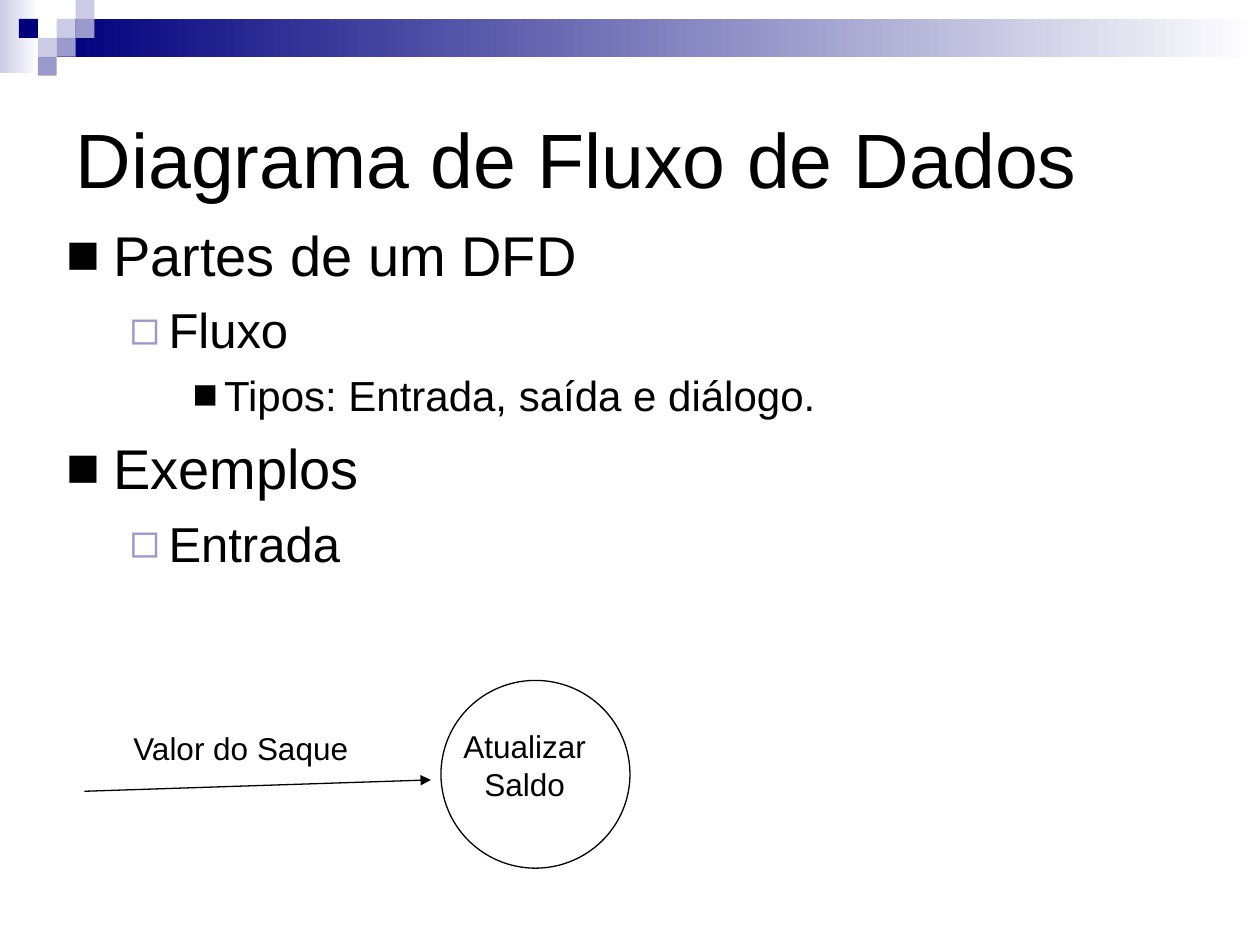
import pptx
import pptx.util
import pptx.dml.color
import pptx.enum.shapes
import pptx.enum.text
import pptx.oxml
from lxml import etree

WIDTH, HEIGHT = 10, 7.5
FONT = "Arial"
BLACK, NAVY, VIOLET, LAVENDER, WHITE = "000000", "00007D", "9999CC", "CCCCE6", "FFFFFF"
TITLE = "Diagrama de Fluxo de Dados"
OUTLINE = [
    (0, "Partes de um DFD"),
    (1, "Fluxo"),
    (2, "Tipos: Entrada, saída e diálogo."),
    (0, "Exemplos"),
    (1, "Entrada"),
]
# size, space before, margin, hanging indent, bullet, bullet colour
LEVELS = [
    (32, 8, 0.37, 0.37, "■", BLACK),
    (28, 7, 0.81, 0.31, "◻", VIOLET),
    (24, 6, 1.25, 0.25, "■", BLACK),
]
TILE = 0.15
BANDS = [((0, 0, 0.31, 0.58), LAVENDER), ((3 * TILE, TILE, 9.54, 2 * TILE), NAVY)]
TILES = [
    (3, 1, LAVENDER), (4, 0, LAVENDER), (4, 1, VIOLET), (2, 2, LAVENDER),
    (1, 1, NAVY), (3, 2, VIOLET), (2, 3, VIOLET),
]
PROCESS_BOX = (0.35 * WIDTH, 0.72 * HEIGHT, 1.5, 1.49)
LABELS = [
    (["Atualizar", "Saldo"], (3.58, 5.72, 1.17, 0.7), "CENTER"),
    (["Valor do Saque"], (0.96, 5.74, 1.92, 0.4), "LEFT"),
]
FLOW = (0.67, 6.28, 3.42, 6.19)


def inches(values):
    """Convert a sequence of numbers to lengths."""
    return [pptx.util.Inches(value) for value in values]


def color(text):
    """Return the colour of a hex string."""
    return pptx.dml.color.RGBColor.from_string(text)


def add_shape(slide, kind, box):
    """Add a shape without shadow or outline."""
    shape = slide.shapes.add_shape(kind, *inches(box))
    shape.shadow.inherit = False
    shape.line.fill.background()
    return shape


def style(paragraph, size, alignment="LEFT"):
    """Set the font and alignment of a paragraph."""
    paragraph.font.name = FONT
    paragraph.font.size = pptx.util.Pt(size)
    paragraph.font.color.rgb = color(BLACK)
    paragraph.alignment = getattr(pptx.enum.text.PP_ALIGN, alignment)


def add_text(slide, lines, box):
    """Add a text box with one paragraph per line."""
    shape = slide.shapes.add_textbox(*inches(box))
    shape.text_frame.text = "\n".join(lines)
    return shape.text_frame


def add_bullet(paragraph, margin, hanging, symbol, tint):
    """Give a paragraph a coloured bullet with a hanging indent."""
    properties = paragraph._p.get_or_add_pPr()
    properties.set("marL", str(pptx.util.Inches(margin)))
    properties.set("indent", str(-pptx.util.Inches(hanging)))
    bullet_color = etree.SubElement(properties, pptx.oxml.ns.qn("a:buClr"))
    etree.SubElement(bullet_color, pptx.oxml.ns.qn("a:srgbClr"), val=tint)
    etree.SubElement(properties, pptx.oxml.ns.qn("a:buFont"), typeface=FONT)
    etree.SubElement(properties, pptx.oxml.ns.qn("a:buChar"), char=symbol)


def add_header(slide):
    """Draw the gradient bands and the mosaic of tiles."""
    rectangle = pptx.enum.shapes.MSO_SHAPE.RECTANGLE
    for box, tint in BANDS:
        fill = add_shape(slide, rectangle, box).fill
        fill.gradient()
        fill.gradient_angle = 180
        for stop, stop_tint in zip(fill.gradient_stops, (WHITE, tint)):
            stop.color.rgb = color(stop_tint)
    for column, row, tint in TILES:
        tile = add_shape(slide, rectangle, (column * TILE, row * TILE, TILE, TILE))
        tile.fill.solid()
        tile.fill.fore_color.rgb = color(tint)


def add_title(slide):
    """Fill and place the title placeholder."""
    title = slide.shapes.title
    title.left, title.top, title.width, title.height = inches((0.5, 0.5, 9, 1.5))
    title.text_frame.text = TITLE
    title.text_frame.vertical_anchor = pptx.enum.text.MSO_ANCHOR.MIDDLE
    style(title.text_frame.paragraphs[0], 44)


def add_outline(slide):
    """Write the bulleted outline."""
    frame = add_text(slide, [text for _, text in OUTLINE], (0.43, 1.7, 9, 3.7))
    frame.word_wrap = True
    for paragraph, (level, _) in zip(frame.paragraphs, OUTLINE):
        size, space, *bullet = LEVELS[level]
        paragraph.level = level
        paragraph.space_before = pptx.util.Pt(space)
        style(paragraph, size)
        add_bullet(paragraph, *bullet)


def add_diagram(slide):
    """Draw the process, its incoming flow and their labels."""
    process = add_shape(slide, pptx.enum.shapes.MSO_SHAPE.OVAL, PROCESS_BOX)
    process.fill.background()
    flow = slide.shapes.add_connector(
        pptx.enum.shapes.MSO_CONNECTOR.STRAIGHT, *inches(FLOW))
    for shape in (process, flow):
        shape.line.color.rgb = color(BLACK)
        shape.line.width = pptx.util.Pt(0.75)
    etree.SubElement(flow.line._get_or_add_ln(), pptx.oxml.ns.qn("a:tailEnd"), type="triangle")
    etree.SubElement(flow._element.spPr, pptx.oxml.ns.qn("a:effectLst"))
    for lines, box, alignment in LABELS:
        frame = add_text(slide, lines, box)
        frame.word_wrap = False
        frame.auto_size = pptx.enum.text.MSO_AUTO_SIZE.SHAPE_TO_FIT_TEXT
        for paragraph in frame.paragraphs:
            style(paragraph, 18, alignment)


def main():
    """Build the data flow diagram slide."""
    presentation = pptx.Presentation()
    presentation.slide_width, presentation.slide_height = inches((WIDTH, HEIGHT))
    slide = presentation.slides.add_slide(presentation.slide_layouts[5])
    add_header(slide)
    add_title(slide)
    add_outline(slide)
    add_diagram(slide)
    presentation.save("out.pptx")


if __name__ == "__main__":
    main()
